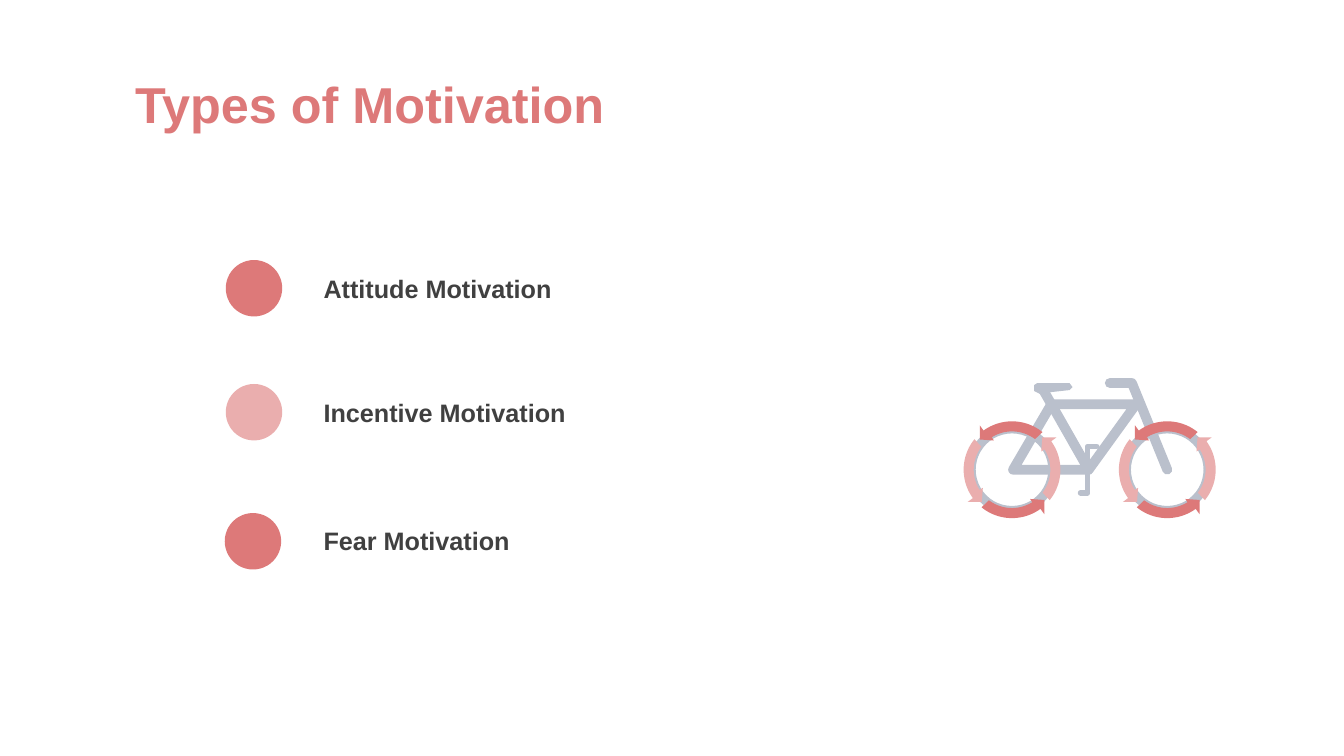
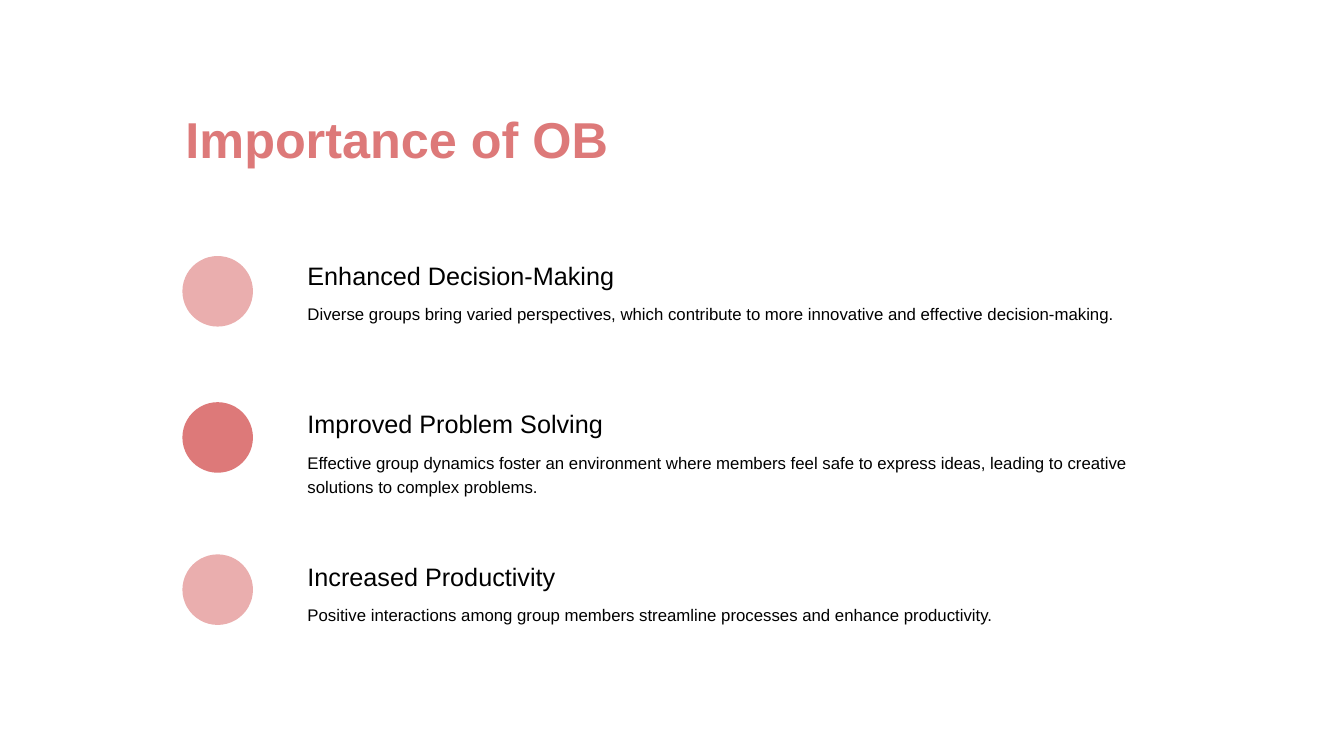
import math
from lxml import etree
from pptx import Presentation
from pptx import util as u
from pptx.dml.color import RGBColor
from pptx.enum import shapes, text
from pptx.oxml import ns

PX = 9144
ROSE, BLUSH, STEEL = "DD7979", "EAAEAE", "BAC0CC"
CHARCOAL, BLACK = "404040", "000000"
color = RGBColor.from_string


def paint(shape, fill):
    shape.shadow.inherit = False
    shape.fill.solid()
    shape.fill.fore_color.rgb = color(fill)
    shape.line.fill.background()


def outline(group, points, closed):
    (x, y), *rest = [(round(a * PX), round(b * PX)) for a, b in points]
    builder = group.shapes.build_freeform(x, y, scale=1)
    builder.add_line_segments(rest, close=closed)
    return builder.convert_to_shape()


deck = Presentation()
deck.slide_width, deck.slide_height = u.Inches(13.333), u.Inches(7.5)

# Each list row: wording, size, bold, colour, space before, line spacing
HEADING, DETAIL = (18, False, BLACK), (12, False, BLACK)
LABEL = (18, True, CHARCOAL)
pages = [
    {
        "title": "Types of Motivation",
        "title_at": (124, 68, 829, 71),
        "list_at": (311, 266, 339, 310),
        "rows": [
            ("Attitude Motivation", LABEL, 0, 1.0),
            ("Incentive Motivation", LABEL, 67, 1.0),
            ("Fear Motivation", LABEL, 70, 1.0),
        ],
        "dot_size": 56,
        "dots": [(224, 258, ROSE), (224, 381, BLUSH), (223, 509, ROSE)],
    },
    {
        "title": "Importance of OB",
        "title_at": (174, 102, 508, 71),
        "list_at": (295, 253, 892, 370),
        "rows": [
            ("Enhanced Decision-Making", HEADING, 0, 1.0),
            ("Diverse groups bring varied perspectives, which contribute to more "
             "innovative and effective decision-making.", DETAIL, 7, 1.2),
            ("Improved Problem Solving", HEADING, 60, 1.0),
            ("Effective group dynamics foster an environment where members feel safe "
             "to express ideas, leading to creative solutions to complex problems.",
             DETAIL, 7, 1.2),
            ("Increased Productivity", HEADING, 46, 1.0),
            ("Positive interactions among group members streamline processes and "
             "enhance productivity.", DETAIL, 7, 1.2),
        ],
        "dot_size": 70,
        "dots": [(181, 254, BLUSH), (181, 399, ROSE), (181, 550, BLUSH)],
    },
]

for content in pages:
    page = deck.slides.add_slide(deck.slide_layouts[1])
    title, body = page.placeholders
    for box, place in ((title, content["title_at"]), (body, content["list_at"])):
        box.left, box.top, box.width, box.height = [n * PX for n in place]
        box.text_frame.auto_size = text.MSO_AUTO_SIZE.NONE
        box.text_frame.word_wrap = True

    title.text_frame.text = content["title"]
    title.text_frame.vertical_anchor = text.MSO_ANCHOR.TOP
    para = title.text_frame.paragraphs[0]
    para.alignment = text.PP_ALIGN.LEFT
    font = para.runs[0].font
    font.name, font.size, font.bold = "Arial", u.Pt(36), True
    font.color.rgb = color(ROSE)

    body.text_frame.text = "\n".join(row[0] for row in content["rows"])
    for para, row in zip(body.text_frame.paragraphs, content["rows"]):
        wording, (size, bold, ink), before, spacing = row
        para.space_before, para.space_after = u.Pt(before), u.Pt(0)
        para.line_spacing = spacing
        props = para._p.get_or_add_pPr()
        props.set("marL", "0")
        props.set("indent", "0")
        etree.SubElement(props, ns.qn("a:buNone"))
        font = para.runs[0].font
        font.name, font.size, font.bold = "Arial", u.Pt(size), bold
        font.color.rgb = color(ink)

    side = content["dot_size"] * PX
    for left, top, fill in content["dots"]:
        dot = page.shapes.add_shape(
            shapes.MSO_SHAPE.OVAL, left * PX, top * PX, side, side)
        paint(dot, fill)

bike = deck.slides[0].shapes.add_group_shape()
wheel_y, wheel_radius = 466, 45
wheel_centers = (1004, 1158)
tubes = [
    (7, [(1080, 466), (1005, 466), (1043, 401), (1127, 401), (1080, 466)]),
    (7, [(1035, 387), (1080, 466)]),
    (7, [(1101, 380), (1123, 380), (1158, 466)]),
    (4, [(1088, 443), (1079, 443), (1079, 489), (1072, 489)]),
]
for weight, points in tubes:
    tube = outline(bike, points, False)
    tube.shadow.inherit = False
    tube.fill.background()
    tube.line.width = u.Pt(weight)
    tube.line.color.rgb = color(STEEL)
    stroke = tube._element.spPr.find(ns.qn("a:ln"))
    stroke.set("cap", "rnd")
    etree.SubElement(stroke, ns.qn("a:round"))

saddle = [(1026, 382), (1029, 380), (1061, 380), (1064, 384),
          (1061, 387), (1043, 389), (1032, 391), (1026, 388)]
paint(outline(bike, saddle, True), STEEL)

outer_arc = [(48, angle) for angle in range(126, 50, -3)]
inner_arc = [(38, angle) for angle in range(53, 125, 3)]
arrow = [(radius * math.cos(math.radians(angle)), -radius * math.sin(math.radians(angle)))
         for radius, angle in outer_arc + inner_arc]
arrow += [(-18, -29), (-32, -30), (-32, -44)]

for center in wheel_centers:
    wheel = bike.shapes.add_shape(
        shapes.MSO_SHAPE.DONUT, (center - wheel_radius) * PX,
        (wheel_y - wheel_radius) * PX, 2 * wheel_radius * PX, 2 * wheel_radius * PX)
    wheel.adjustments[0] = 0.1
    paint(wheel, STEEL)
    turned = arrow
    for fill in (ROSE, BLUSH, ROSE, BLUSH):
        points = [(center + x, wheel_y + y) for x, y in turned]
        paint(outline(bike, points, True), fill)
        turned = [(-y, x) for x, y in turned]

deck.save("out.pptx")
